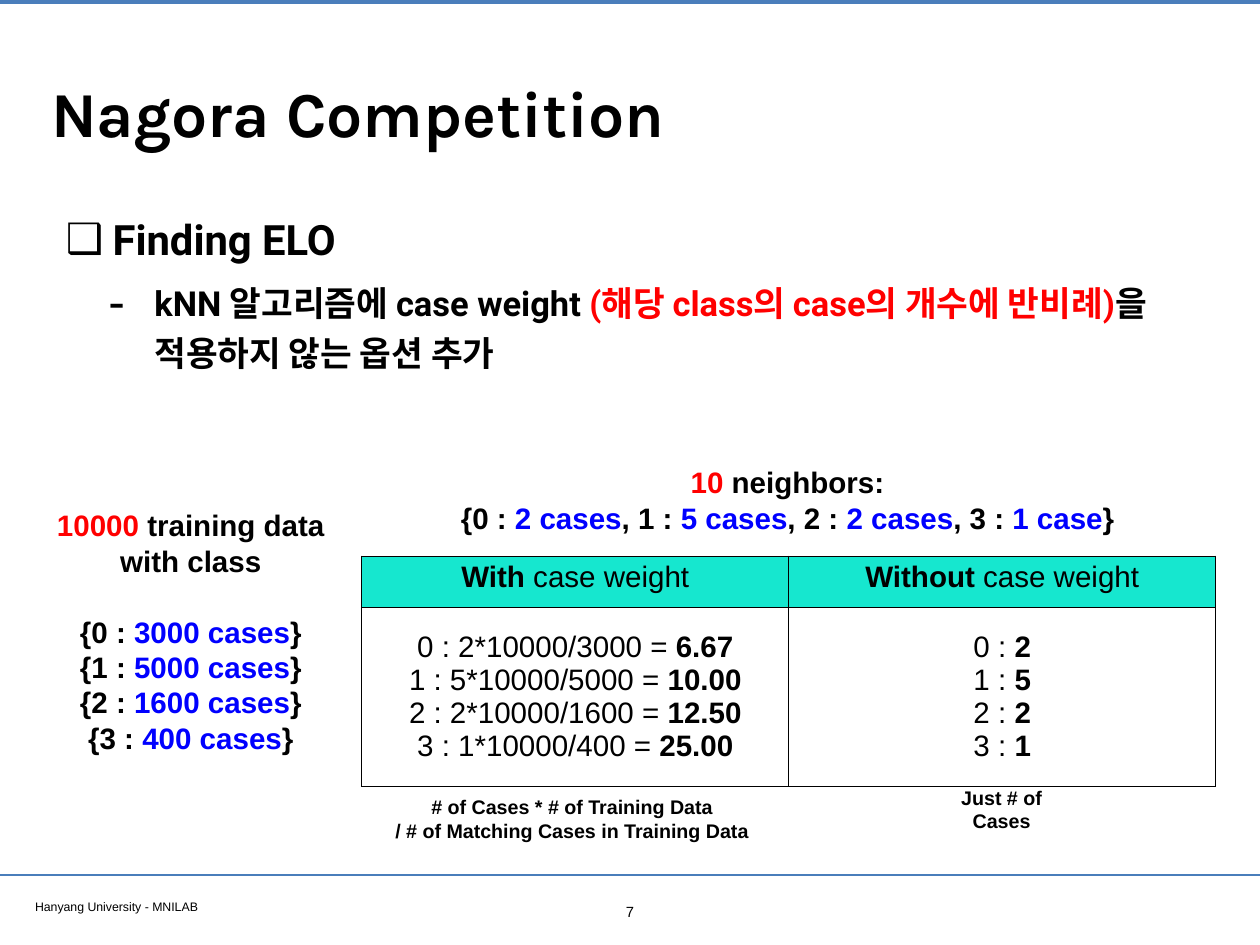
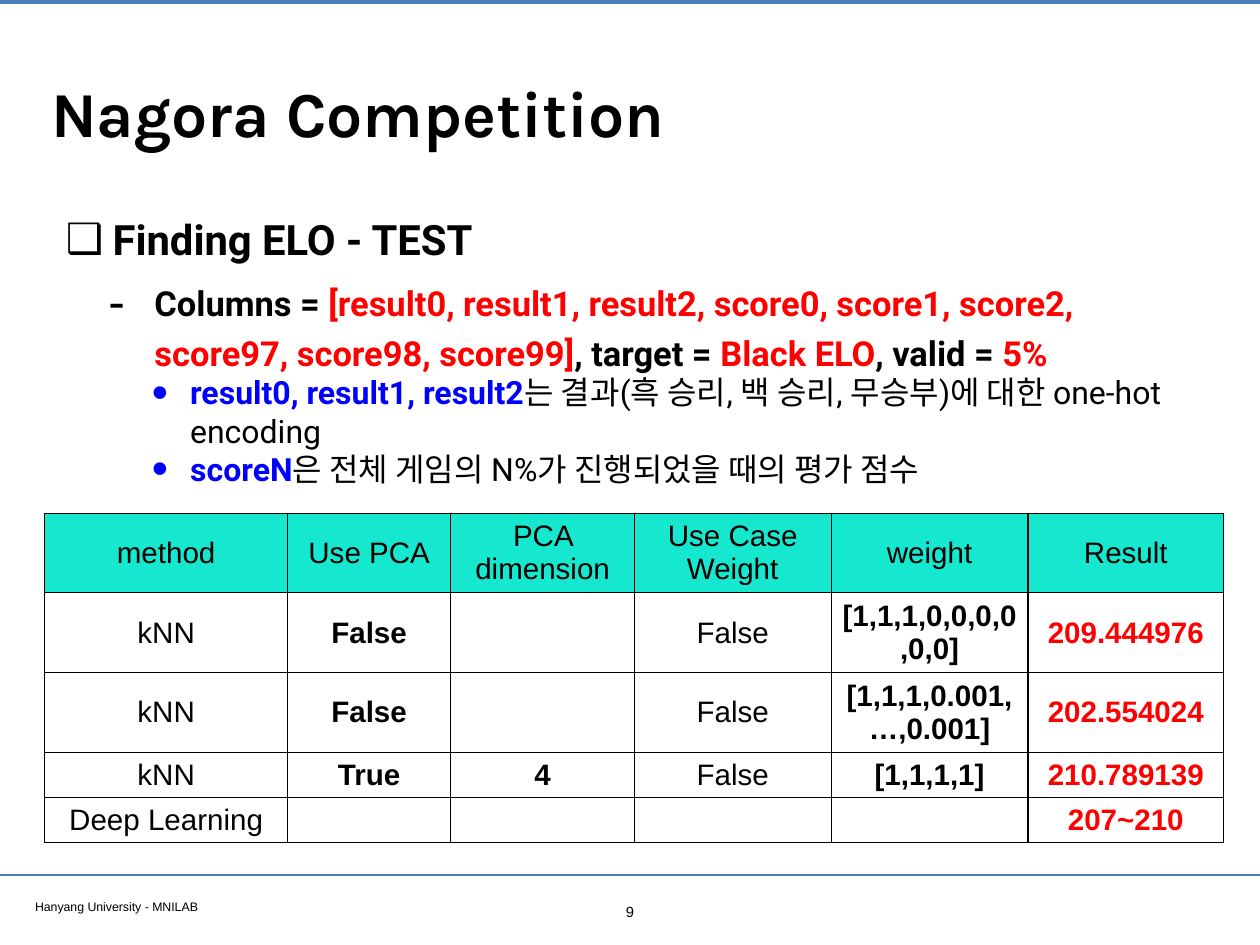
from lxml.etree import SubElement
from pptx import Presentation
from pptx.dml.color import RGBColor
from pptx.enum.shapes import MSO_CONNECTOR
from pptx.enum.text import MSO_ANCHOR, PP_ALIGN
from pptx.oxml.ns import qn
from pptx.util import Pt

WIDTH, HEIGHT = 1024, 768
BLACK, RED, BLUE = "000000", "FF0000", "0000FF"
RULE, HEADER_FILL = "4A7EBB", "16E7CF"
INSET = 4.5
TITLE = "Nagora Competition"

# bullet, bullet size in %, left edge, hanging indent, text size, line spacing, space before
OUTLINE_LEVELS = [
    ("❑", 100, 38, 38, 34, 1.2, 8),
    ("-", 145, 72, 37.5, 28, 1.2, 8),
    ("•", 145, 101, 31, 26, 1.0, 0),
]


def color(hex_value):
    return RGBColor.from_string(hex_value)


def red(text):
    return text, RED, True


def blue(text):
    return text, BLUE, True


def bold(text):
    return text, BLACK, True


def plain(text):
    return text, BLACK, False


class Deck:
    """Holds the shared style and the slide being filled."""

    def __init__(self):
        self.presentation = Presentation()
        self.presentation.slide_width = Pt(WIDTH)
        self.presentation.slide_height = Pt(HEIGHT)
        self.slide = None

    def new_slide(self, number):
        self.slide = self.presentation.slides.add_slide(self.presentation.slide_layouts[6])
        self.rule(1.5, 3.2)
        self.rule(711, 2)
        self.text_box(24, 726.5, 393, 19, [[plain("Hanyang University - MNILAB")]], 10,
                      align=PP_ALIGN.LEFT, anchor=MSO_ANCHOR.TOP)
        self.text_box(37, 20, 951, 142, [[bold(TITLE)]], 52, "Karla", PP_ALIGN.LEFT)
        self.text_box(498, 729, 28, 22, [[plain(number)]], 12, anchor=MSO_ANCHOR.TOP)

    def rule(self, y, weight):
        """Draw a line across the whole slide."""
        line = self.slide.shapes.add_connector(
            MSO_CONNECTOR.STRAIGHT, Pt(0), Pt(y), Pt(WIDTH), Pt(y))
        line.line.color.rgb = color(RULE)
        line.line.width = Pt(weight)
        SubElement(line._element.spPr, qn("a:effectLst"))

    def add_runs(self, paragraph, runs, size, font="Arial"):
        for text, hex_value, is_bold in runs:
            run = paragraph.add_run()
            run.text = text
            run.font.name = font
            run.font.size = Pt(size)
            run.font.bold = is_bold
            run.font.color.rgb = color(hex_value)

    def fill_frame(self, frame, paragraphs, size, font="Arial", align=PP_ALIGN.CENTER):
        for index, runs in enumerate(paragraphs):
            paragraph = frame.add_paragraph() if index else frame.paragraphs[0]
            paragraph.alignment = align
            self.add_runs(paragraph, runs, size, font)

    def empty_frame(self, left, top, width, height, anchor):
        frame = self.slide.shapes.add_textbox(Pt(left), Pt(top), Pt(width), Pt(height)).text_frame
        frame.word_wrap = True
        frame.vertical_anchor = anchor
        frame.margin_left = frame.margin_right = Pt(INSET)
        frame.margin_top = frame.margin_bottom = Pt(INSET)
        return frame

    def text_box(self, left, top, width, height, paragraphs, size, font="Arial",
                 align=PP_ALIGN.CENTER, anchor=MSO_ANCHOR.MIDDLE):
        frame = self.empty_frame(left, top, width, height, anchor)
        self.fill_frame(frame, paragraphs, size, font, align)
        return frame

    def outline(self, height, items):
        """Add (level, runs) items as a bulleted outline."""
        frame = self.empty_frame(49, 161, 932, height, MSO_ANCHOR.TOP)
        for index, (level, runs) in enumerate(items):
            bullet, scale, left, hanging, size, spacing, before = OUTLINE_LEVELS[level]
            paragraph = frame.add_paragraph() if index else frame.paragraphs[0]
            paragraph.level = level
            paragraph.line_spacing = spacing
            paragraph.space_before = Pt(before if index else 0)
            properties = paragraph._p.get_or_add_pPr()
            properties.set("marL", str(Pt(left)))
            properties.set("indent", str(-Pt(hanging)))
            SubElement(properties, qn("a:buSzPct"), val=str(scale * 1000))
            SubElement(properties, qn("a:buFont"), typeface="Arial")
            SubElement(properties, qn("a:buChar"), char=bullet)
            self.add_runs(paragraph, runs, size, "Roboto")

    def table(self, left, top, columns, heights, rows, header_anchor=MSO_ANCHOR.MIDDLE):
        """Draw rows of cells, each cell a list of paragraphs; the first row is the header."""
        table = self.slide.shapes.add_table(
            len(rows), len(columns), Pt(left), Pt(top), Pt(sum(columns)), Pt(sum(heights))).table
        table.first_row = table.horz_banding = False
        for column, width in zip(table.columns, columns):
            column.width = Pt(width)
        for index, (row, height, contents) in enumerate(zip(table.rows, heights, rows)):
            row.height = Pt(height)
            for cell, paragraphs in zip(row.cells, contents):
                self.border(cell)
                if index == 0:
                    cell.fill.solid()
                    cell.fill.fore_color.rgb = color(HEADER_FILL)
                else:
                    cell.fill.background()
                cell.vertical_anchor = MSO_ANCHOR.MIDDLE if index else header_anchor
                self.fill_frame(cell.text_frame, paragraphs, 24)

    def border(self, cell):
        properties = cell._tc.get_or_add_tcPr()
        for side in ("a:lnL", "a:lnR", "a:lnT", "a:lnB"):
            line = SubElement(properties, qn(side), w=str(Pt(1)))
            SubElement(SubElement(line, qn("a:solidFill")), qn("a:srgbClr"), val=BLACK)


def case_weight_slide(deck):
    deck.new_slide("7")
    deck.outline(166, [
        (0, [bold("Finding ELO")]),
        (1, [bold("kNN 알고리즘에 case weight "), red("(해당 class의 case의 개수에 반비례)"),
             bold("을 적용하지 않는 옵션 추가")]),
    ])

    class_sizes = [3000, 5000, 1600, 400]
    training = [[red("10000 "), bold("training data with class")]]
    training += [[bold(f"{{{label} : "), blue(f"{size} cases"), bold("}")]
                 for label, size in enumerate(class_sizes)]
    training_frame = deck.text_box(17, 407, 276, 212, training, 24)
    training_frame.paragraphs[1].space_before = Pt(28.8)

    neighbors = [2, 5, 2, 1]
    weighted = [[plain(f"{label} : {count}*10000/{size} = "), bold(f"{count * 10000 / size:.2f}")]
                for label, (count, size) in enumerate(zip(neighbors, class_sizes))]
    unweighted = [[plain(f"{label} : "), bold(str(count))]
                  for label, count in enumerate(neighbors)]
    deck.table(294, 452, [347, 347], [41.5, 146], [
        [[[bold("With"), plain(" case weight")]], [[bold("Without"), plain(" case weight")]]],
        [weighted, unweighted],
    ], MSO_ANCHOR.TOP)

    summary = []
    for label, count in enumerate(neighbors):
        summary += [bold(f"{', ' if label else '{'}{label} : "),
                    blue(f"{count} case{'s' if count > 1 else ''}")]
    deck.text_box(360, 373, 560, 66,
                  [[red("10"), bold(" neighbors:")], summary + [bold("}")]], 24)
    deck.text_box(310, 642, 310, 47, [[bold("# of Cases * # of Training Data")],
                                      [bold("/ # of Matching Cases in Training Data")]], 16)
    deck.text_box(764, 644, 100, 27, [[bold("Just # of Cases")]], 16)


def test_slide(deck):
    deck.new_slide("9")
    deck.outline(248, [
        (0, [bold("Finding ELO - TEST")]),
        (1, [bold("Columns = "),
             red("[result0, result1, result2, score0, score1, score2, score97, score98, score99]"),
             bold(", target = "), red("Black ELO"), bold(", valid = "), red("5%")]),
        (2, [blue("result0, result1, result2"),
             plain("는 결과(흑 승리, 백 승리, 무승부)에 대한 one-hot encoding")]),
        (2, [blue("scoreN"), plain("은 전체 게임의 N%가 진행되었을 때의 평가 점수")]),
    ])

    headings = ["method", "Use PCA", "PCA dimension", "Use Case Weight", "weight", "Result"]
    results = [
        ("kNN", "False", "", "False", "[1,1,1,0,0,0,0,0,0]", "209.444976"),
        ("kNN", "False", "", "False", "[1,1,1,0.001,…,0.001]", "202.554024"),
        ("kNN", "True", "4", "False", "[1,1,1,1]", "210.789139"),
        ("Deep Learning", "", "", "", "", "207~210"),
    ]
    column_styles = [plain, bold, bold, plain, bold, red]
    rows = [[[[plain(heading)]] for heading in headings]]
    rows += [[[[style(value)]] if value else [] for style, value in zip(column_styles, result)]
             for result in results]
    deck.table(36.5, 417, [197, 133, 149, 160, 160, 159], [61, 61, 61, 36.5, 36.5], rows)


def main():
    deck = Deck()
    case_weight_slide(deck)
    test_slide(deck)
    deck.presentation.save("out.pptx")


if __name__ == "__main__":
    main()
